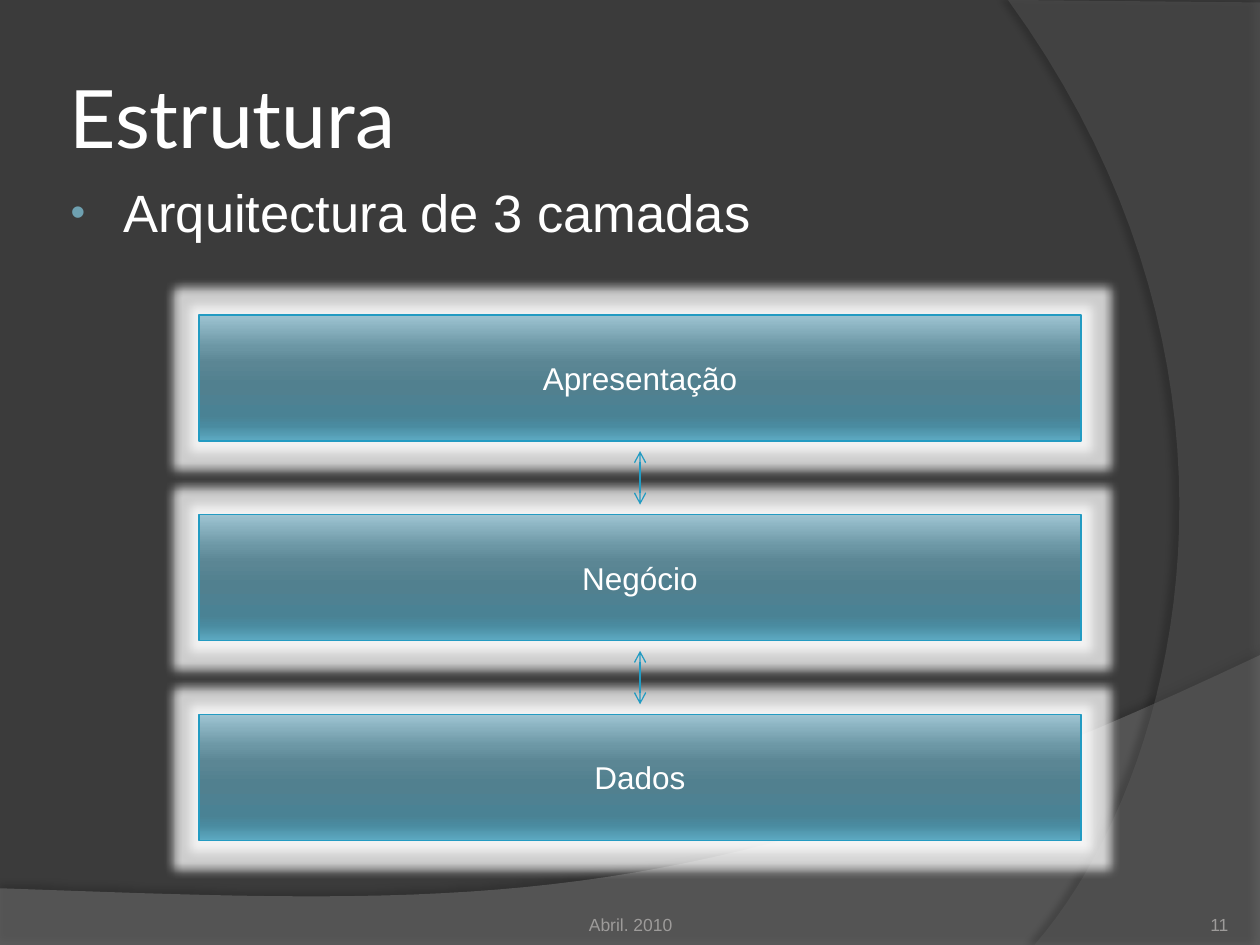
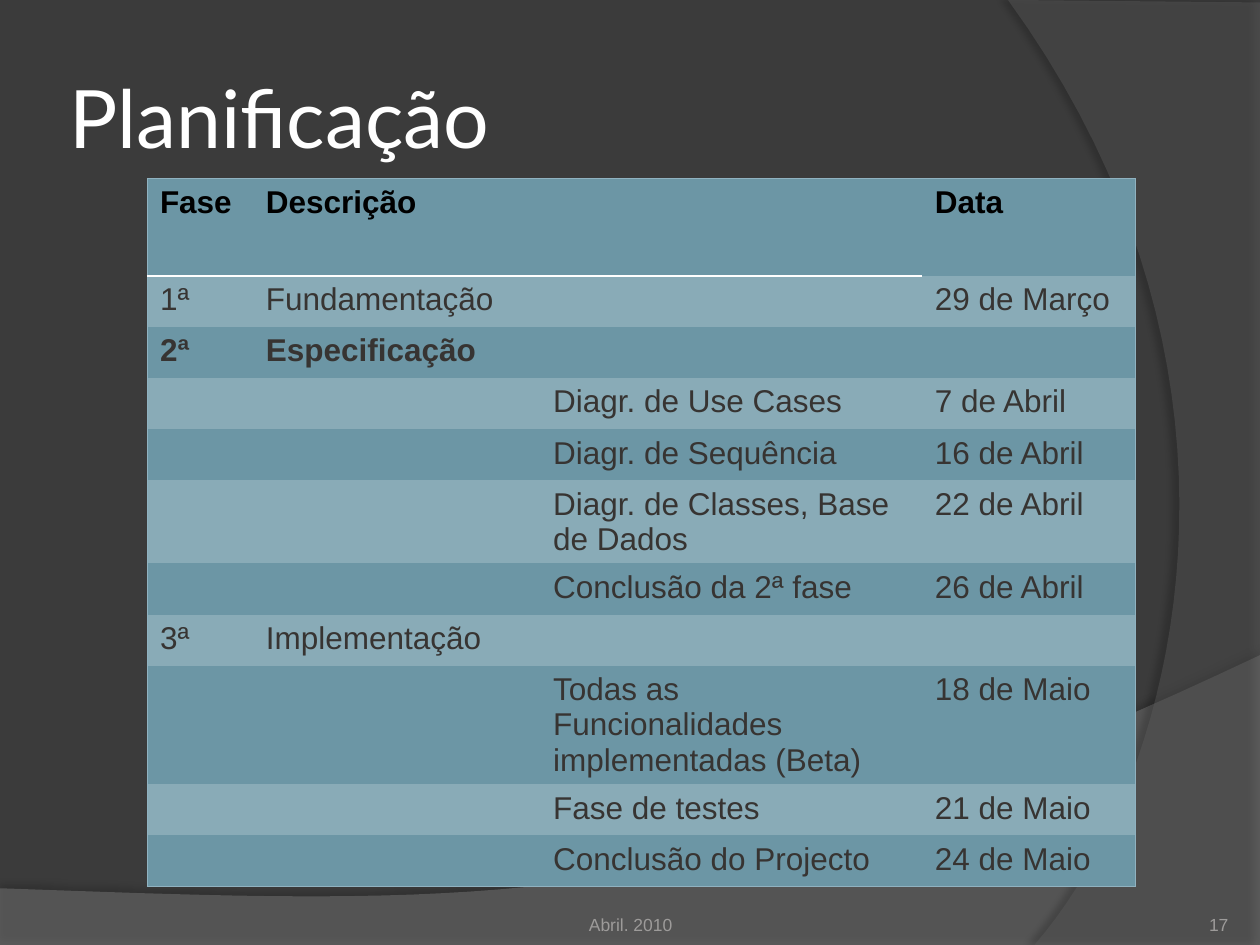
from dataclasses import dataclass

from lxml import etree
from pptx import Presentation
from pptx.dml.color import RGBColor
from pptx.enum.shapes import MSO_CONNECTOR, MSO_SHAPE
from pptx.enum.text import MSO_ANCHOR, MSO_AUTO_SIZE, PP_ALIGN
from pptx.oxml.ns import qn
from pptx.util import Inches, Pt

LEFT, CENTER, RIGHT = PP_ALIGN.LEFT, PP_ALIGN.CENTER, PP_ALIGN.RIGHT
TOP, MIDDLE, BOTTOM = MSO_ANCHOR.TOP, MSO_ANCHOR.MIDDLE, MSO_ANCHOR.BOTTOM
RECTANGLE, STRAIGHT = MSO_SHAPE.RECTANGLE, MSO_CONNECTOR.STRAIGHT
TITLE_ONLY, TITLE_AND_BODY = 5, 1
PLAIN_TABLE_STYLE = "{2D5ABB26-0587-4C30-8999-92F81FD0307C}"


@dataclass(frozen=True)
class Theme:
    title_font: str = "Lato"
    body_font: str = "Arial"
    title_size: int = 46
    bullet_size: int = 30
    text_size: int = 18
    footer_size: int = 10
    background: str = "3B3B3B"
    wave: str = "7F7F7F"
    arc: str = "5E5E5E"
    shadow: str = "000000"
    white: str = "FFFFFF"
    footer: str = "9D9B9A"
    accent: str = "239BC2"
    bullet: str = "6EA0B0"
    header_text: str = "000000"
    cell_text: str = "373432"
    row_dark: str = "6C96A5"
    row_light: str = "89ABB7"
    table_edge: str = "90B2C0"
    layer_stops: tuple = ((0, "9EC4D2"), (25, "6C97A5"), (38, "5B8694"), (55, "51808F"),
                          (80, "4A8294"), (88, "4A8BA0"), (100, "5DAAC2"))


THEME = Theme()


# ---------- helpers ----------
def add_xml(parent, tag, **attributes):
    child = etree.SubElement(parent, qn(tag))
    for name, value in attributes.items():
        child.set(name, str(value))
    return child


def add_color(parent, color, opacity=100):
    element = add_xml(parent, "a:srgbClr", val=color)
    if opacity < 100:
        add_xml(element, "a:alpha", val=opacity * 1000)


def write(text_frame, text, font=THEME.body_font, size=THEME.text_size, color=THEME.white,
          bold=False, align=LEFT):
    paragraph = text_frame.paragraphs[0]
    paragraph.alignment = align
    run = paragraph.add_run()
    run.text = text
    run.font.name, run.font.size, run.font.bold = font, Pt(size), bold
    run.font.color.rgb = RGBColor.from_string(color)
    return paragraph


def set_frame(text_frame, anchor, left, top, right, bottom):
    text_frame.word_wrap = True
    text_frame.auto_size = MSO_AUTO_SIZE.NONE
    text_frame.vertical_anchor = anchor
    text_frame.margin_left, text_frame.margin_top = Inches(left), Inches(top)
    text_frame.margin_right, text_frame.margin_bottom = Inches(right), Inches(bottom)


def place(shape, box):
    shape.left, shape.top, shape.width, shape.height = map(Inches, box)


def clear_effects(shape):
    return add_xml(shape._element.spPr, "a:effectLst")


# ---------- shared background, title and footer ----------
def curve(start, control_1, control_2, end, steps=40):
    """Points of a cubic Bezier curve."""
    points = []
    for step in range(steps + 1):
        t = step / steps
        weights = ((1 - t) ** 3, 3 * t * (1 - t) ** 2, 3 * t * t * (1 - t), t ** 3)
        corners = (start, control_1, control_2, end)
        points.append(tuple(sum(w * c[axis] for w, c in zip(weights, corners))
                            for axis in (0, 1)))
    return points


def move_to_master(master, slide, points, color, opacity, shadow_opacity, distance, direction):
    corners = [(Inches(x), Inches(y)) for x, y in points]
    builder = slide.shapes.build_freeform(*corners[0], scale=1.0)
    builder.add_line_segments(corners[1:], close=True)
    shape = builder.convert_to_shape()
    shape.fill.solid()
    shape.fill.fore_color.rgb = RGBColor.from_string(color)
    add_xml(shape._element.spPr.find(qn("a:solidFill"))[0], "a:alpha", val=opacity * 1000)
    shape.line.fill.background()
    shadow = add_xml(clear_effects(shape), "a:outerShdw", blurRad=Pt(4), dist=Pt(distance),
                     dir=direction * 60000, algn="ctr", rotWithShape=0)
    add_color(shadow, THEME.shadow, shadow_opacity)
    return shape


def decorate_master(presentation, slide):
    master = presentation.slide_master
    master.background.fill.solid()
    master.background.fill.fore_color.rgb = RGBColor.from_string(THEME.background)
    wave_points = [(0, 7.5), (10, 7.5)] + curve((10, 5.2), (5.59, 7.29), (3.91, 7.19), (0, 7.05))
    arc_points = [(10, 0.02), (10, 7.5)] + curve((8.21, 7.5), (9.35, 6.19), (10.18, 3), (8, 0))
    wave = move_to_master(master, slide, wave_points, THEME.wave, 45, 35, 3.5, 270)
    arc = move_to_master(master, slide, arc_points, THEME.arc, 40, 45, 4, 180)
    for position, shape in enumerate((wave, arc), start=2):
        master.shapes._spTree.insert(position, shape._element)


def add_title(slide, text, box=(0.5, 0.3, 8.17, 1.25)):
    title = slide.shapes.title
    place(title, box)
    set_frame(title.text_frame, MIDDLE, 0.05, 0.05, 0.05, 0.05)
    write(title.text_frame, text, font=THEME.title_font, size=THEME.title_size)


def add_footer(slide, number, top=7.02, height=0.4):
    for text, left, width, inset, align in ((number, 8.92, 0.83, 0, RIGHT),
                                            ("Abril. 2010", 3.42, 3.17, 0.05, CENTER)):
        box = slide.shapes.add_textbox(*map(Inches, (left, top, width, height)))
        set_frame(box.text_frame, BOTTOM, 0, inset, 0, 0)
        write(box.text_frame, text, size=THEME.footer_size, color=THEME.footer, align=align)


def new_slide(presentation, layout, title, number):
    slide = presentation.slides.add_slide(presentation.slide_layouts[layout])
    add_title(slide, title)
    add_footer(slide, number)
    return slide


# ---------- architecture slide ----------
def add_bullet(slide, text, box):
    body = slide.placeholders[1]
    place(body, box)
    set_frame(body.text_frame, TOP, 0.1, 0.68, 0.1, 0.05)
    paragraph = write(body.text_frame, text, size=THEME.bullet_size)
    paragraph.space_before = Pt(0)
    properties = paragraph._p.get_or_add_pPr()
    properties.set("marL", str(Inches(0.46)))
    properties.set("indent", str(Inches(-0.42)))
    add_color(add_xml(properties, "a:buClr"), THEME.bullet)
    add_xml(properties, "a:buSzPct", val=80000)
    add_xml(properties, "a:buFont", typeface=THEME.body_font)
    add_xml(properties, "a:buChar", char="•")


def add_layer(group, text, box):
    layer = group.shapes.add_shape(RECTANGLE, *map(Inches, box))
    layer.fill.gradient()
    layer.fill.gradient_angle = 270
    stops = layer._element.spPr.find(qn("a:gradFill")).find(qn("a:gsLst"))
    for stop in list(stops):
        stops.remove(stop)
    for position, color in THEME.layer_stops:
        add_color(add_xml(stops, "a:gs", pos=position * 1000), color)
    layer.line.color.rgb = RGBColor.from_string(THEME.accent)
    layer.line.width = Pt(0.75)
    glow = add_xml(clear_effects(layer), "a:glow", rad=Pt(11))
    add_color(glow, THEME.white, 75)
    layer.text_frame.vertical_anchor = MIDDLE
    write(layer.text_frame, text, align=CENTER)


def add_double_arrow(group, x, top, bottom):
    arrow = group.shapes.add_connector(STRAIGHT, *map(Inches, (x, top, x, bottom)))
    arrow.line.color.rgb = RGBColor.from_string(THEME.accent)
    arrow.line.width = Pt(0.75)
    line = arrow._element.spPr.find(qn("a:ln"))
    for end in ("a:headEnd", "a:tailEnd"):
        add_xml(line, end, type="arrow")
    clear_effects(arrow)


def add_layers(slide, names, box, layer_height=1, arrow_gap=0.08):
    left, top, width, height = box
    pitch = (height - layer_height) / (len(names) - 1)
    group = slide.shapes.add_group_shape()
    for index, name in enumerate(names):
        layer_top = top + index * pitch
        add_layer(group, name, (left, layer_top, width, layer_height))
        if index:
            add_double_arrow(group, left + width / 2,
                             layer_top - pitch + layer_height + arrow_gap,
                             layer_top - arrow_gap)


# ---------- schedule slide ----------
def add_border(cell, side, color, width):
    line = add_xml(cell._tc.get_or_add_tcPr(), side, w=Pt(width))
    add_color(add_xml(line, "a:solidFill"), color)


def add_schedule(slide, rows, box, column_widths, row_heights):
    frame = slide.shapes.add_table(len(rows), len(column_widths), *map(Inches, box))
    table = frame.table
    table.first_row = table.horz_banding = False
    table._tbl.tblPr.find(qn("a:tableStyleId")).text = PLAIN_TABLE_STYLE
    for column, width in zip(table.columns, column_widths):
        column.width = Inches(width)
    for row, height in zip(table.rows, row_heights):
        row.height = Inches(height)

    last_row, last_column = len(rows) - 1, len(column_widths) - 1
    for r, texts in enumerate(rows):
        for c, text in enumerate(texts):
            cell = table.cell(r, c)
            # Outer edges, in the order the schema asks for
            for side, on_edge in (("a:lnL", c == 0), ("a:lnR", c == last_column),
                                  ("a:lnT", r == 0), ("a:lnB", r == last_row)):
                if on_edge:
                    add_border(cell, side, THEME.table_edge, 0.75)
            # Rule below the header, which stops before the dates
            if r == 0 and c < last_column:
                add_border(cell, "a:lnB", THEME.white, 1.5)
            cell.fill.solid()
            color = THEME.row_light if r % 2 else THEME.row_dark
            cell.fill.fore_color.rgb = RGBColor.from_string(color)
            if text:
                write(cell.text_frame, text, bold=r in (0, 2),
                      color=THEME.cell_text if r else THEME.header_text)


# ---------- presentation ----------
SCHEDULE = (
    ("Fase", "Descrição", "", "Data"),
    ("1ª", "Fundamentação", "", "29 de Março"),
    ("2ª", "Especificação", "", ""),
    ("", "", "Diagr. de Use Cases", "7 de Abril"),
    ("", "", "Diagr. de Sequência", "16 de Abril"),
    ("", "", "Diagr. de Classes, Base de Dados", "22 de Abril"),
    ("", "", "Conclusão da 2ª fase", "26 de Abril"),
    ("3ª", "Implementação", "", ""),
    ("", "", "Todas as Funcionalidades implementadas (Beta)", "18 de Maio"),
    ("", "", "Fase de testes", "21 de Maio"),
    ("", "", "Conclusão do Projecto", "24 de Maio"),
)
TALL_ROWS = {0: 0.77, 5: 0.65, 8: 0.93}

presentation = Presentation()
presentation.slide_width, presentation.slide_height = Inches(10), Inches(7.5)

structure = new_slide(presentation, TITLE_AND_BODY, "Estrutura", "11")
decorate_master(presentation, structure)
add_layers(structure, ("Apresentação", "Negócio", "Dados"), (1.58, 2.5, 7, 4.17))
add_bullet(structure, "Arquitectura de 3 camadas", (0.42, 0.75, 7.7, 4.27))

planning = new_slide(presentation, TITLE_ONLY, "Planificação", "17")
add_schedule(planning, SCHEDULE, (1.17, 1.42, 7.83, 5.4), (0.84, 2.28, 3.03, 1.69),
             [TALL_ROWS.get(index, 0.38) for index in range(len(SCHEDULE))])

presentation.save("out.pptx")
